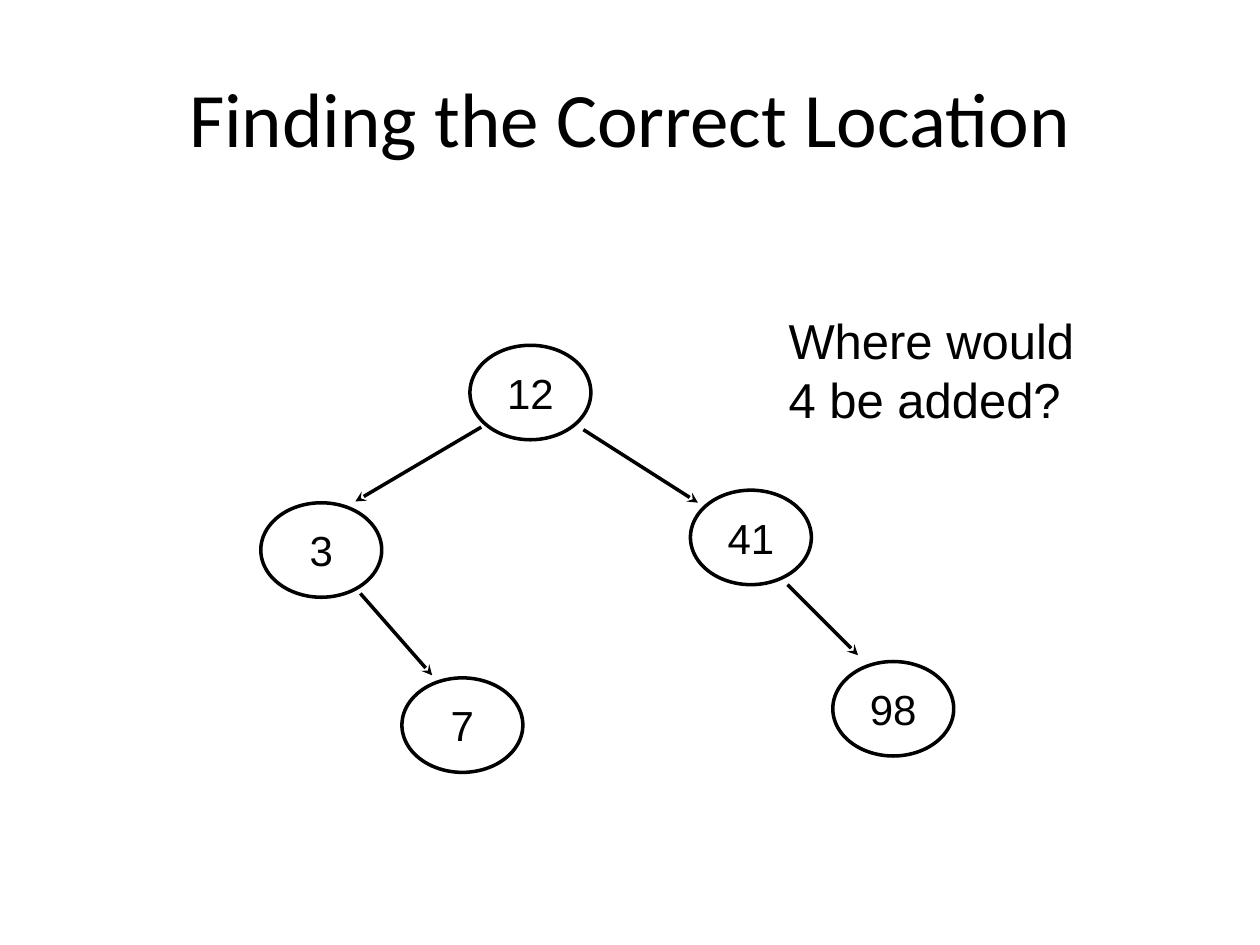
from dataclasses import dataclass

from lxml.etree import SubElement
from pptx import Presentation
from pptx.dml.color import RGBColor
from pptx.enum.shapes import MSO_CONNECTOR, MSO_SHAPE
from pptx.enum.text import MSO_ANCHOR as Anchor, PP_ALIGN as Align
from pptx.oxml.ns import qn
from pptx.util import Inches, Pt

SLIDE_WIDTH, SLIDE_HEIGHT = 10, 7.5
NODE_WIDTH, NODE_HEIGHT = 0.96, 0.75
INK = "000000"
LINE_WIDTH = 2


@dataclass(frozen=True)
class Node:
    label: str
    left: float
    top: float


@dataclass(frozen=True)
class Edge:
    start: tuple[float, float]
    end: tuple[float, float]


NODES = [
    Node("12", 3.73, 2.74),
    Node("3", 2.07, 3.99),
    Node("7", 3.19, 5.38),
    Node("41", 5.48, 3.89),
    Node("98", 6.61, 5.25),
]
EDGES = [
    Edge((3.82, 3.39), (2.82, 3.98)),
    Edge((2.86, 4.71), (3.43, 5.36)),
    Edge((4.63, 3.41), (5.54, 3.99)),
    Edge((6.25, 4.64), (6.81, 5.2)),
]
TITLE_FONT = {"name": "Calibri", "size": Pt(44)}
NODE_FONT = {"name": "Arial", "size": Pt(24)}
QUESTION_FONT = {"name": "Arial", "size": Pt(28)}


def color(value: str) -> RGBColor:
    return RGBColor.from_string(value)


def draw_outline(line) -> None:
    line.color.rgb = color(INK)
    line.width = Pt(LINE_WIDTH)


def write_text(shape, lines: list[str], font: dict, wrap: bool = True,
               anchor=Anchor.MIDDLE, **paragraph_format) -> None:
    frame = shape.text_frame
    frame.word_wrap = wrap
    frame.vertical_anchor = anchor
    frame.text = "\n".join(lines)
    for para in frame.paragraphs:
        for name, value in paragraph_format.items():
            setattr(para, name, value)
        for span in para.runs:
            for name, value in font.items():
                setattr(span.font, name, value)
            span.font.color.rgb = color(INK)


def add_text(page, left: float, top: float, width: float, height: float,
             lines: list[str], font: dict, **text_format) -> None:
    box = page.shapes.add_textbox(*map(Inches, (left, top, width, height)))
    write_text(box, lines, font, **text_format)


def draw_node(page, node: Node) -> None:
    bounds = map(Inches, (node.left, node.top, NODE_WIDTH, NODE_HEIGHT))
    oval = page.shapes.add_shape(MSO_SHAPE.OVAL, *bounds)
    oval.shadow.inherit = False
    oval.fill.background()
    draw_outline(oval.line)
    write_text(oval, [node.label], NODE_FONT, wrap=False, alignment=Align.CENTER)


def draw_edge(page, edge: Edge) -> None:
    ends = map(Inches, (*edge.start, *edge.end))
    arrow = page.shapes.add_connector(MSO_CONNECTOR.STRAIGHT, *ends)
    draw_outline(arrow.line)
    properties = arrow.element.spPr
    SubElement(properties.find(qn("a:ln")), qn("a:tailEnd"), type="stealth")
    SubElement(properties, qn("a:effectLst"))


def main() -> None:
    deck = Presentation()
    deck.slide_width, deck.slide_height = Inches(SLIDE_WIDTH), Inches(SLIDE_HEIGHT)
    page = deck.slides.add_slide(deck.slide_layouts[6])

    add_text(page, 0.05 * SLIDE_WIDTH, 0.04 * SLIDE_HEIGHT, 0.9 * SLIDE_WIDTH, 1.25,
             ["Finding the Correct Location"], TITLE_FONT, alignment=Align.CENTER)
    for node in NODES:
        draw_node(page, node)
    for edge in EDGES:
        draw_edge(page, edge)
    add_text(page, 6.16, 2.41, 2.62, 1.03, ["Where would", "4 be added?"],
             QUESTION_FONT, anchor=Anchor.TOP, line_spacing=Pt(34))

    deck.save("out.pptx")


if __name__ == "__main__":
    main()
